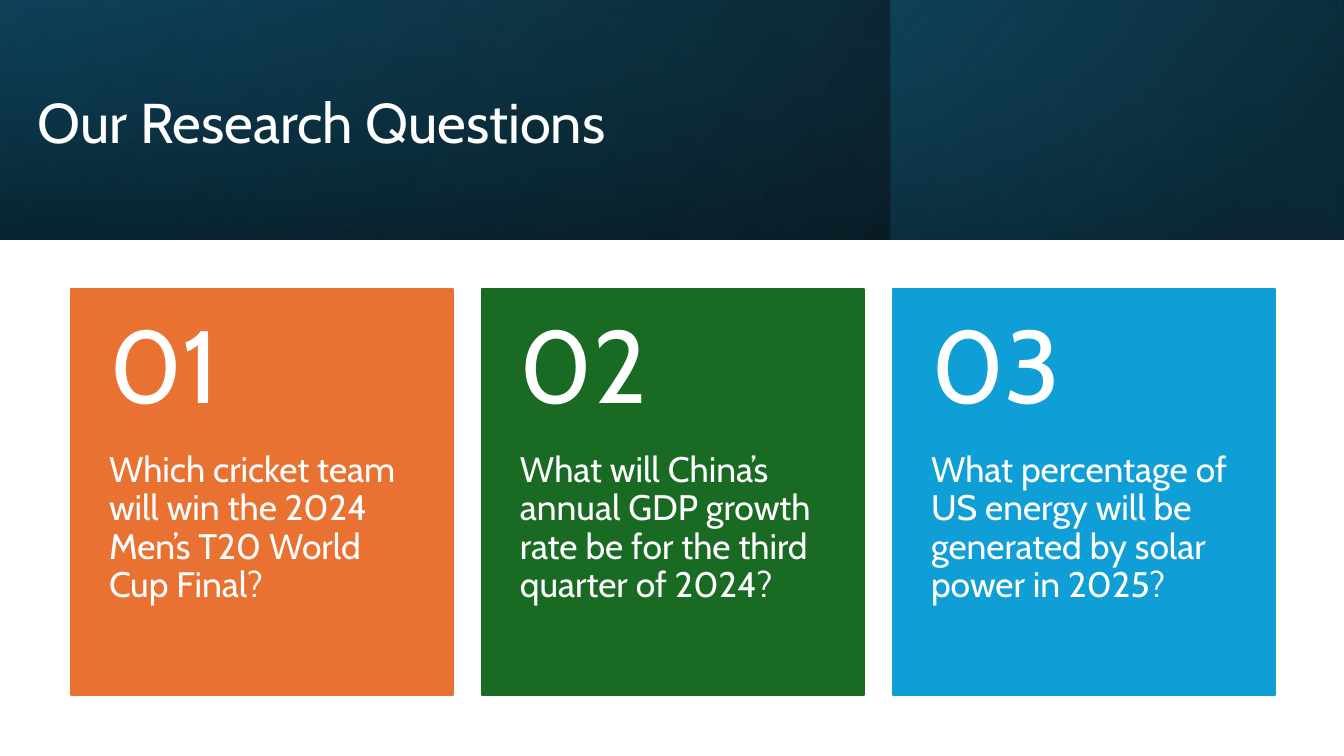
from lxml import etree
from pptx import Presentation
from pptx import util as u
from pptx.dml.color import RGBColor
from pptx.enum import shapes, text
from pptx.oxml.ns import qn

WHITE = RGBColor(0xFF, 0xFF, 0xFF)
BLACK = RGBColor(0x00, 0x00, 0x00)
NAVY = RGBColor(0x10, 0x48, 0x62)
DEEP_TEAL = RGBColor(0x0B, 0x30, 0x41)
TEAL = RGBColor(0x15, 0x60, 0x82)
ORANGE = RGBColor(0xE9, 0x71, 0x32)
GREEN = RGBColor(0x19, 0x6B, 0x24)
BLUE = RGBColor(0x0F, 0x9E, 0xD5)

SCALE = 914400 / 134.4
PAGE_WIDTH, PAGE_HEIGHT = 1344, 756
BAND_HEIGHT = 240
CARD_LEFT, CARD_TOP, CARD_WIDTH, CARD_PITCH = 71, 289, 382, 411
NUMBER_HEIGHT, QUESTION_HEIGHT = 163, 243

CARDS = [
    (ORANGE, "Which cricket team will win the 2024 Men’s T20 World Cup Final?"),
    (GREEN, "What will China’s annual GDP growth rate be for the third quarter of 2024?"),
    (BLUE, "What percentage of US energy will be generated by solar power in 2025?"),
]


def px(length):
    return u.Emu(round(length * SCALE))


class SlideBuilder:
    font_name = "Cabin"
    font_color = WHITE
    line_spacing = 0.9

    def __init__(self, deck):
        self.page = deck.slides.add_slide(deck.slide_layouts[5])
        self.target = self.page.shapes

    def start_group(self):
        self.target = self.page.shapes.add_group_shape().shapes

    def set_words(self, box, wording, size, anchor):
        frame = box.text_frame
        frame.text = wording
        frame.word_wrap = True
        frame.vertical_anchor = anchor
        para = frame.paragraphs[0]
        para.alignment = text.PP_ALIGN.LEFT
        para.line_spacing = self.line_spacing
        for span in para.runs:
            span.font.name = self.font_name
            span.font.size = u.Pt(size)
            span.font.color.rgb = self.font_color

    def title(self, area, wording, size):
        box = self.page.shapes.title
        box.left, box.top, box.width, box.height = map(px, area)
        self.set_words(box, wording, size, text.MSO_ANCHOR.MIDDLE)
        box._element.getparent().append(box._element)

    def rectangle(self, area):
        box = self.target.add_shape(shapes.MSO_SHAPE.RECTANGLE, *map(px, area))
        box.shadow.inherit = False
        return box

    def gradient(self, area, stops, angle, rotation=0):
        box = self.rectangle(area)
        box.rotation = rotation
        box._element.spPr.xfrm.set("flipH", "1")
        box.line.fill.background()
        box.fill.gradient()
        box.fill.gradient_angle = 360 - angle
        for stop, (position, color, _) in zip(box.fill.gradient_stops, stops):
            stop.position = position / 100
            stop.color.rgb = color
        colors = box._element.spPr.iter(qn("a:srgbClr"))
        for node, (_, _, opacity) in zip(colors, stops):
            etree.SubElement(node, qn("a:alpha")).set("val", str(opacity * 1000))

    def panel(self, area, color):
        box = self.rectangle(area)
        box.fill.solid()
        box.fill.fore_color.rgb = color
        box.line.color.rgb = color
        box.line.width = u.Pt(1.5)

    def text_box(self, area, wording, size, anchor, insets):
        box = self.target.add_textbox(*map(px, area))
        frame = box.text_frame
        (frame.margin_left, frame.margin_top,
         frame.margin_right, frame.margin_bottom) = map(px, insets)
        self.set_words(box, wording, size, anchor)

    def card(self, left, number, question, color):
        self.panel((left, CARD_TOP, CARD_WIDTH, NUMBER_HEIGHT + QUESTION_HEIGHT), color)
        self.text_box((left, CARD_TOP + NUMBER_HEIGHT, CARD_WIDTH, QUESTION_HEIGHT),
                      question, 19, text.MSO_ANCHOR.TOP, (38, 0, 38, 48))
        self.text_box((left, CARD_TOP, CARD_WIDTH, NUMBER_HEIGHT),
                      number, 55, text.MSO_ANCHOR.MIDDLE, (38, 24, 38, 24))


def main():
    deck = Presentation()
    deck.slide_width, deck.slide_height = px(PAGE_WIDTH), px(PAGE_HEIGHT)
    slide = SlideBuilder(deck)

    slide.gradient((0, 0, PAGE_WIDTH, BAND_HEIGHT),
                   [(0, BLACK, 96), (100, NAVY, 100)], 330)
    slide.gradient((891, 0, 452, BAND_HEIGHT),
                   [(19, DEEP_TEAL, 68), (100, TEAL, 48)], 320)
    offset = (PAGE_WIDTH - BAND_HEIGHT) // 2
    slide.gradient((offset, -offset, BAND_HEIGHT, PAGE_WIDTH),
                   [(23, NAVY, 16), (99, BLACK, 45)], 350, 270)
    slide.title((24, 39, 1224, 173), "Our Research Questions", 30)

    slide.start_group()
    for index, (color, question) in enumerate(CARDS):
        slide.card(CARD_LEFT + index * CARD_PITCH, f"{index + 1:02}", question, color)

    deck.save("out.pptx")


if __name__ == "__main__":
    main()
